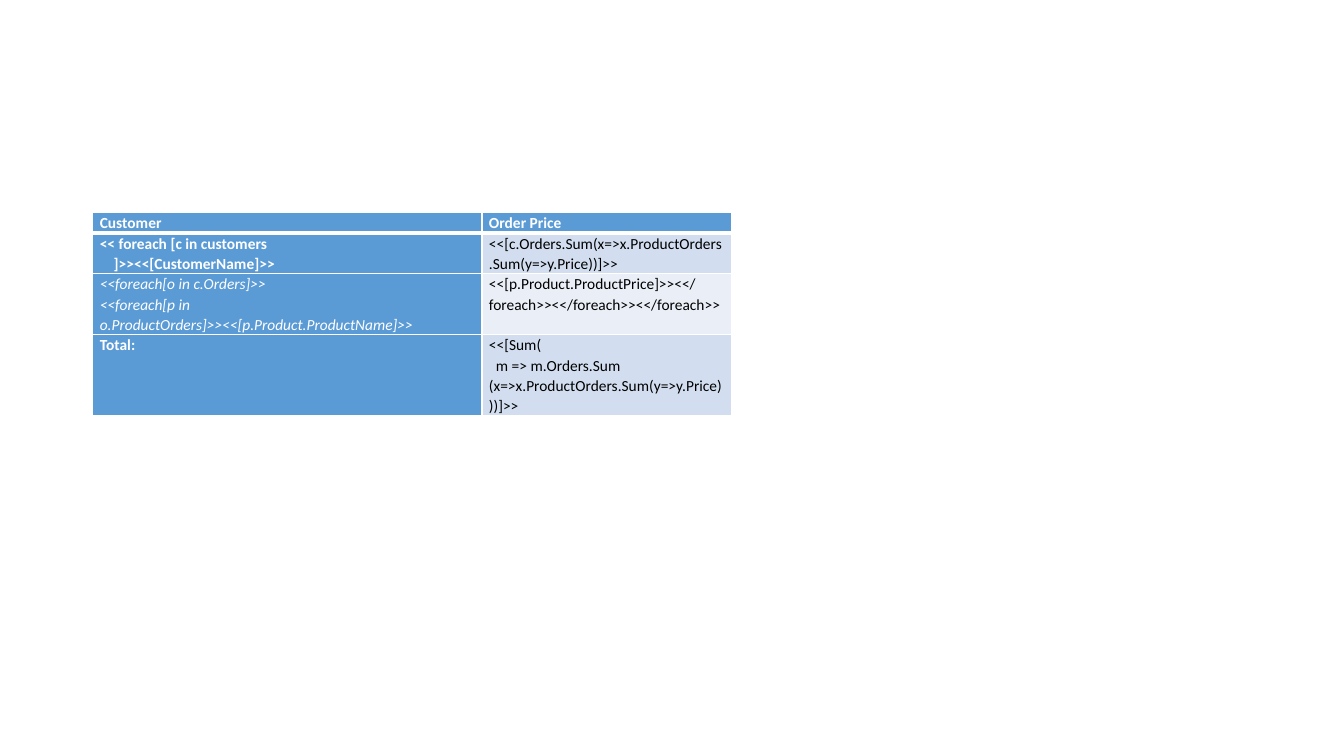
"""Build a slide with a customer order report template table."""
from dataclasses import dataclass

from lxml.etree import SubElement
from pptx import Presentation
from pptx.dml.color import RGBColor as Color
from pptx.oxml.ns import qn
from pptx.table import _Cell as Cell
from pptx.util import Inches, Pt

COLORS = {
    "accent": "5B9BD5",
    "band": "D2DEEF",
    "pale": "EAEFF7",
    "white": "FFFFFF",
    "black": "000000",
}
COLUMN_WIDTHS = (3.86, 2.48)
LINE_HEIGHT = 0.2


@dataclass(frozen=True)
class Entry:
    lines: tuple[str, ...]
    fill: str = "accent"
    ink: str = "white"
    bold: bool = False
    italic: bool = False


@dataclass(frozen=True)
class ReportRow:
    label: Entry
    price: Entry
    line_count: int


ROWS = (
    ReportRow(
        Entry(("Customer",), bold=True),
        Entry(("Order Price",), bold=True),
        1,
    ),
    ReportRow(
        Entry(("<< foreach [c in customers", "    ]>><<[CustomerName]>>"), bold=True),
        Entry(("<<[c.Orders.Sum(x=>x.ProductOrders.Sum(y=>y.Price))]>>",), "band", "black"),
        2,
    ),
    ReportRow(
        Entry(
            (
                "<<foreach[o in c.Orders]>>",
                "<<foreach[p in o.ProductOrders]>><<[p.Product.ProductName]>>",
            ),
            italic=True,
        ),
        Entry(
            ("<<[p.Product.ProductPrice]>><</foreach>><</foreach>><</foreach>>",),
            "pale",
            "black",
        ),
        3,
    ),
    ReportRow(
        Entry(("Total:",), bold=True),
        Entry(
            ("<<[Sum(", "  m => m.Orders.Sum (x=>x.ProductOrders.Sum(y=>y.Price)))]>>"),
            "band",
            "black",
        ),
        4,
    ),
)


def set_borders(cell: Cell, top: float, bottom: float) -> None:
    properties = cell._tc.get_or_add_tcPr()
    for side, width in (("lnL", 1), ("lnR", 1), ("lnT", top), ("lnB", bottom)):
        line = SubElement(properties, qn(f"a:{side}"), w=str(Pt(width)))
        solid = SubElement(line, qn("a:solidFill"))
        SubElement(solid, qn("a:srgbClr"), val=COLORS["white"])


def write_entry(cell: Cell, entry: Entry) -> None:
    cell.margin_left = cell.margin_right = Inches(0.07)
    cell.margin_top = cell.margin_bottom = 0
    cell.fill.solid()
    cell.fill.fore_color.rgb = Color.from_string(COLORS[entry.fill])
    cell.text = "\n".join(entry.lines)
    for para in cell.text_frame.paragraphs:
        para.line_spacing = 1.07
        font = para.font
        font.name = "Calibri"
        font.size = Pt(11)
        font.bold = entry.bold
        font.italic = entry.italic
        font.color.rgb = Color.from_string(COLORS[entry.ink])


def main() -> None:
    deck = Presentation()
    deck.slide_width = Inches(13.33)
    deck.slide_height = Inches(7.5)
    page = deck.slides.add_slide(deck.slide_layouts[6])
    height = LINE_HEIGHT * sum(row.line_count for row in ROWS)
    table = page.shapes.add_table(
        len(ROWS), len(COLUMN_WIDTHS),
        Inches(0.92), Inches(2.11), Inches(sum(COLUMN_WIDTHS)), Inches(height),
    ).table
    for column, width in zip(table.columns, COLUMN_WIDTHS):
        column.width = Inches(width)
    for index, row in enumerate(ROWS):
        table.rows[index].height = Inches(LINE_HEIGHT * row.line_count)
        for column_index, entry in enumerate((row.label, row.price)):
            cell = table.cell(index, column_index)
            set_borders(cell, 3 if index == 1 else 1, 3 if index == 0 else 1)
            write_entry(cell, entry)
    deck.save("out.pptx")


if __name__ == "__main__":
    main()
